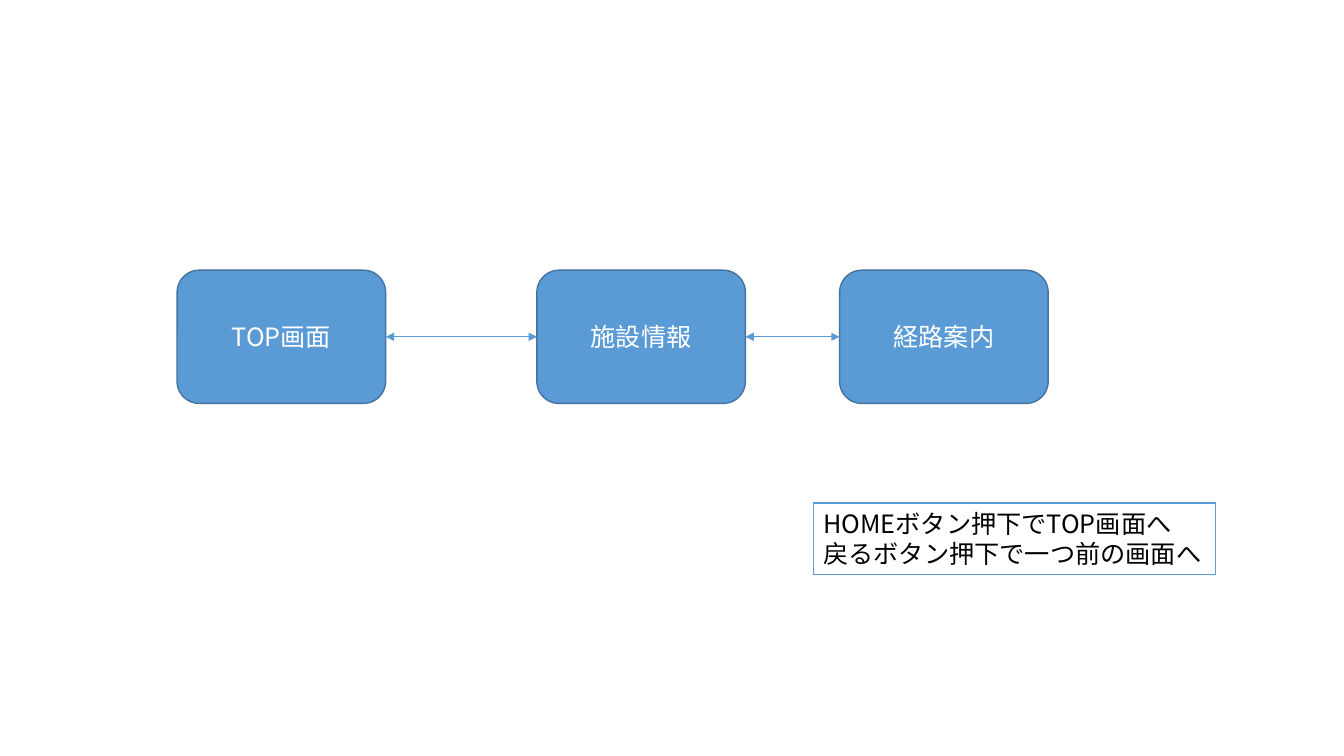
from dataclasses import dataclass
from itertools import pairwise

from lxml.etree import SubElement
from pptx import Presentation
from pptx.dml.color import RGBColor
from pptx.enum.shapes import MSO_CONNECTOR, MSO_SHAPE
from pptx.enum.text import MSO_ANCHOR, MSO_AUTO_SIZE, PP_ALIGN
from pptx.oxml.ns import qn
from pptx.shapes.autoshape import Shape
from pptx.slide import Slide
from pptx.util import Pt

FONT = "Noto Sans CJK JP"
BLUE = RGBColor(0x5B, 0x9B, 0xD5)
DARK_BLUE = RGBColor(0x43, 0x73, 0x9E)
WHITE = RGBColor(0xFF, 0xFF, 0xFF)
BLACK = RGBColor(0x00, 0x00, 0x00)

# Common geometry of the screen boxes, in points
SCREEN_TOP = 193
SCREEN_WIDTH = 149
SCREEN_HEIGHT = 95.2


@dataclass
class Screen:
    name: str
    left: float


SCREENS = [
    Screen("TOP画面", 126.5),
    Screen("施設情報", 383.5),
    Screen("経路案内", 599.75),
]


def write_text(shape: Shape, text: str, *, color: RGBColor, align: PP_ALIGN,
               anchor: MSO_ANCHOR, wrap: bool = True, size: float = 18) -> None:
    frame = shape.text_frame
    frame.word_wrap = wrap
    frame.vertical_anchor = anchor
    paragraph = frame.paragraphs[0]
    paragraph.text = text
    paragraph.alignment = align
    for run in paragraph.runs:
        run.font.size = Pt(size)
        run.font.name = FONT
        run.font.color.rgb = color
        SubElement(run.font._element, qn("a:ea"), typeface=FONT)


def add_box(slide: Slide, kind: MSO_SHAPE, left: float, top: float, width: float,
            height: float, *, fill: RGBColor, line: RGBColor) -> Shape:
    shape = slide.shapes.add_shape(kind, Pt(left), Pt(top), Pt(width), Pt(height))
    shape.shadow.inherit = False
    shape.fill.solid()
    shape.fill.fore_color.rgb = fill
    shape.line.color.rgb = line
    shape.line.width = Pt(1)
    return shape


def add_note(slide: Slide) -> None:
    note = add_box(slide, MSO_SHAPE.RECTANGLE, 581, 359.2, 287.2, 51,
                   fill=WHITE, line=BLUE)
    write_text(note, "HOMEボタン押下でTOP画面へ\n戻るボタン押下で一つ前の画面へ",
               color=BLACK, align=PP_ALIGN.LEFT, anchor=MSO_ANCHOR.TOP, wrap=False)
    note.text_frame.auto_size = MSO_AUTO_SIZE.SHAPE_TO_FIT_TEXT


def add_screen(slide: Slide, screen: Screen) -> None:
    shape = add_box(slide, MSO_SHAPE.FLOWCHART_ALTERNATE_PROCESS, screen.left,
                    SCREEN_TOP, SCREEN_WIDTH, SCREEN_HEIGHT, fill=BLUE, line=DARK_BLUE)
    write_text(shape, screen.name, color=WHITE, align=PP_ALIGN.CENTER,
               anchor=MSO_ANCHOR.MIDDLE)


def add_double_arrow(slide: Slide, start: Screen, end: Screen) -> None:
    middle = Pt(SCREEN_TOP + SCREEN_HEIGHT / 2)
    arrow = slide.shapes.add_connector(MSO_CONNECTOR.STRAIGHT,
                                       Pt(start.left + SCREEN_WIDTH), middle,
                                       Pt(end.left), middle)
    arrow.line.color.rgb = BLUE
    arrow.line.width = Pt(0.5)
    outline = arrow.line._get_or_add_ln()
    for tag in ("a:headEnd", "a:tailEnd"):
        SubElement(outline, qn(tag), type="triangle")
    SubElement(arrow._element.spPr, qn("a:effectLst"))


def main() -> None:
    presentation = Presentation()
    presentation.slide_width = Pt(960)
    presentation.slide_height = Pt(540)
    slide = presentation.slides.add_slide(presentation.slide_layouts[6])

    # Note on the buttons
    add_note(slide)

    # Screens and the moves between neighbours
    for screen in SCREENS:
        add_screen(slide, screen)
    for start, end in pairwise(SCREENS):
        add_double_arrow(slide, start, end)

    presentation.save("out.pptx")


if __name__ == "__main__":
    main()
